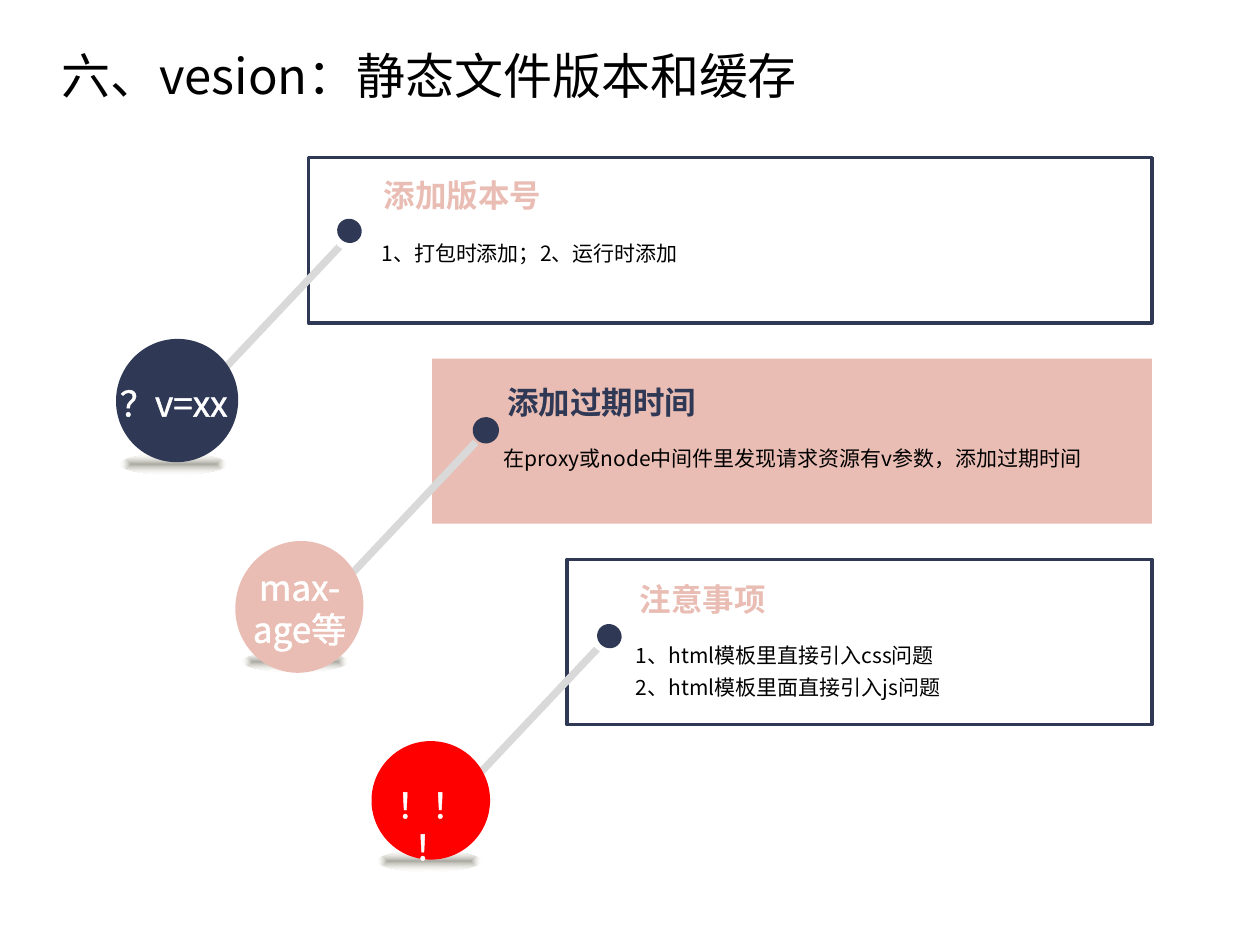
import pptx
import pptx.util
import pptx.dml.color
import pptx.enum.shapes
import pptx.enum.text
import pptx.oxml
import pptx.oxml.ns

Cm = pptx.util.Cm
Pt = pptx.util.Pt
RGB = pptx.dml.color.RGBColor
KIND = pptx.enum.shapes.MSO_SHAPE
ALIGN = pptx.enum.text.PP_ALIGN

NAVY = RGB(0x2F, 0x38, 0x55)
PINK = RGB(0xE9, 0xBD, 0xB3)
RED = RGB(0xFF, 0x00, 0x00)
GREY = RGB(0xD9, 0xD9, 0xD9)
WHITE = RGB(0xFF, 0xFF, 0xFF)
BLACK = RGB(0x00, 0x00, 0x00)
FACE = "Noto Sans CJK SC"
RIGHT = 23.22

TITLE = {"size": Pt(28), "color": BLACK}
LABEL = {"size": Pt(20), "color": WHITE}
HEAD = {"size": Pt(18), "bold": True}
BODY = {"size": Pt(12), "color": BLACK}

GLOW = (
    '<a:gradFill %s><a:gsLst>'
    '<a:gs pos="0"><a:srgbClr val="AAA9A1"/></a:gs>'
    '<a:gs pos="100000"><a:srgbClr val="EEECE1"><a:alpha val="0"/></a:srgbClr></a:gs>'
    '</a:gsLst><a:path path="shape">'
    '<a:fillToRect l="50000" t="50000" r="50000" b="50000"/>'
    '</a:path></a:gradFill>' % pptx.oxml.ns.nsdecls("a")
)
RIM = (
    '<a:ln %s w="18415"><a:solidFill><a:srgbClr val="FFFFFF"/></a:solidFill></a:ln>'
    % pptx.oxml.ns.nsdecls("a")
)

ROWS = [
    {
        "panel": (6.22, WHITE, NAVY),
        "rod": (5.44, 4.17),
        "pad": (2.44, 9.14, 2.13, 0.43),
        "ball": (2.34, 6.83, 2.46, 2.49), "fill": NAVY,
        "halo": (6.71, 4.39, 0.66, 0.66),
        "dot": (6.83, 4.45, 0.43, 0.41), "edge": NAVY,
        "label": ("？v=xx", (1.93, 7.57, 3.15, 1.12)),
        "head": ("添加版本号", (7.49, 3.43, 7.11, 1.02), PINK),
        "body": (["1、打包时添加；2、运行时添加"], (7.44, 4.57, 15.37, 0.91)),
    },
    {
        "panel": (8.71, PINK, None),
        "rod": (8, 8.31),
        "pad": (4.9, 13.13, 2.11, 0.41),
        "ball": (4.75, 10.9, 2.57, 2.67), "fill": PINK,
        "halo": None,
        "dot": (9.53, 8.41, 0.53, 0.53), "edge": None,
        "label": ("max-age等", (4.72, 11.28, 2.64, 1.96)),
        "head": ("添加过期时间", (9.98, 7.59, 7.11, 1.02), NAVY),
        "body": (["在proxy或node中间件里发现请求资源有v参数，添加过期时间"],
                 (9.91, 8.71, 13.31, 0.86)),
    },
    {
        "panel": (11.43, WHITE, NAVY),
        "rod": (10.64, 12.27),
        "pad": (7.62, 17.15, 2.06, 0.41),
        "ball": (7.49, 14.94, 2.39, 2.39), "fill": RED,
        "halo": (11.91, 12.5, 0.66, 0.66),
        "dot": (12.07, 12.62, 0.43, 0.41), "edge": NAVY,
        "label": ("！！！", (7.47, 15.67, 2.46, 1.12)),
        "head": ("注意事项", (12.65, 11.56, 7.11, 1.02), PINK),
        "body": (["1、html模板里直接引入css问题", "2、html模板里面直接引入js问题"],
                 (12.57, 12.67, 10.26, 1.6)),
    },
]


def add_form(slide, kind, box, fill, edge=None, turn=0):
    form = slide.shapes.add_shape(kind, *map(Cm, box))
    form.shadow.inherit = False
    form.rotation = turn
    form.fill.solid()
    form.fill.fore_color.rgb = fill
    if edge is None:
        form.line.fill.background()
    else:
        form.line.color.rgb = edge
        form.line.width = Pt(2)
    return form


def add_pad(slide, box):
    pad = add_form(slide, KIND.OVAL, box, GREY)
    props = pad.element.spPr
    old = props.find(pptx.oxml.ns.qn("a:solidFill"))
    props.replace(old, pptx.oxml.parse_xml(GLOW))


def set_font(run, style):
    for name, value in style.items():
        if name == "color":
            run.font.color.rgb = value
        else:
            setattr(run.font, name, value)
    run.font.name = FACE
    east = pptx.oxml.parse_xml(
        '<a:ea %s typeface="%s"/>' % (pptx.oxml.ns.nsdecls("a"), FACE))
    run.font._element.find(pptx.oxml.ns.qn("a:latin")).addnext(east)


def add_text(slide, lines, box, style, **layout):
    frame = slide.shapes.add_textbox(*map(Cm, box)).text_frame
    frame.word_wrap = True
    for index, line in enumerate(lines):
        para = frame.add_paragraph() if index else frame.paragraphs[0]
        for name, value in layout.items():
            setattr(para, name, value)
        run = para.add_run()
        run.text = line
        set_font(run, style)
    return frame


def add_label(slide, text, box):
    frame = add_text(slide, [text], box, LABEL, alignment=ALIGN.CENTER)
    para = frame.paragraphs[0]
    para._p.get_or_add_pPr().set("hangingPunct", "0")
    para.runs[0].font._element.insert(0, pptx.oxml.parse_xml(RIM))


def add_row(slide, row, top):
    left, fill, edge = row["panel"]
    add_form(slide, KIND.RECTANGLE, (left, top, RIGHT - left, 3.33), fill, edge)
    add_form(slide, KIND.RECTANGLE, (*row["rod"], 0.15, 4.42), GREY, turn=223.3)
    add_pad(slide, row["pad"])
    add_form(slide, KIND.OVAL, row["ball"], row["fill"], turn=21.1)
    if row["halo"]:
        add_form(slide, KIND.OVAL, row["halo"], WHITE)
    add_form(slide, KIND.OVAL, row["dot"], NAVY, row["edge"], 35.7)


def add_words(slide, row):
    add_label(slide, *row["label"])
    head, box, color = row["head"]
    add_text(slide, [head], box, {**HEAD, "color": color})
    lines, box = row["body"]
    add_text(slide, lines, box, BODY, line_spacing=1.3)


def main():
    deck = pptx.Presentation()
    deck.slide_width, deck.slide_height = Cm(25.4), Cm(19.05)
    slide = deck.slides.add_slide(deck.slide_layouts[6])
    add_text(slide, ["六、vesion：静态文件版本和缓存"], (0.99, 0.79, 15.54, 1.45), TITLE)
    for index, row in enumerate(ROWS):
        add_row(slide, row, 3.18 + 4.05 * index)
    for row in ROWS:
        add_words(slide, row)
    deck.save("out.pptx")


if __name__ == "__main__":
    main()
